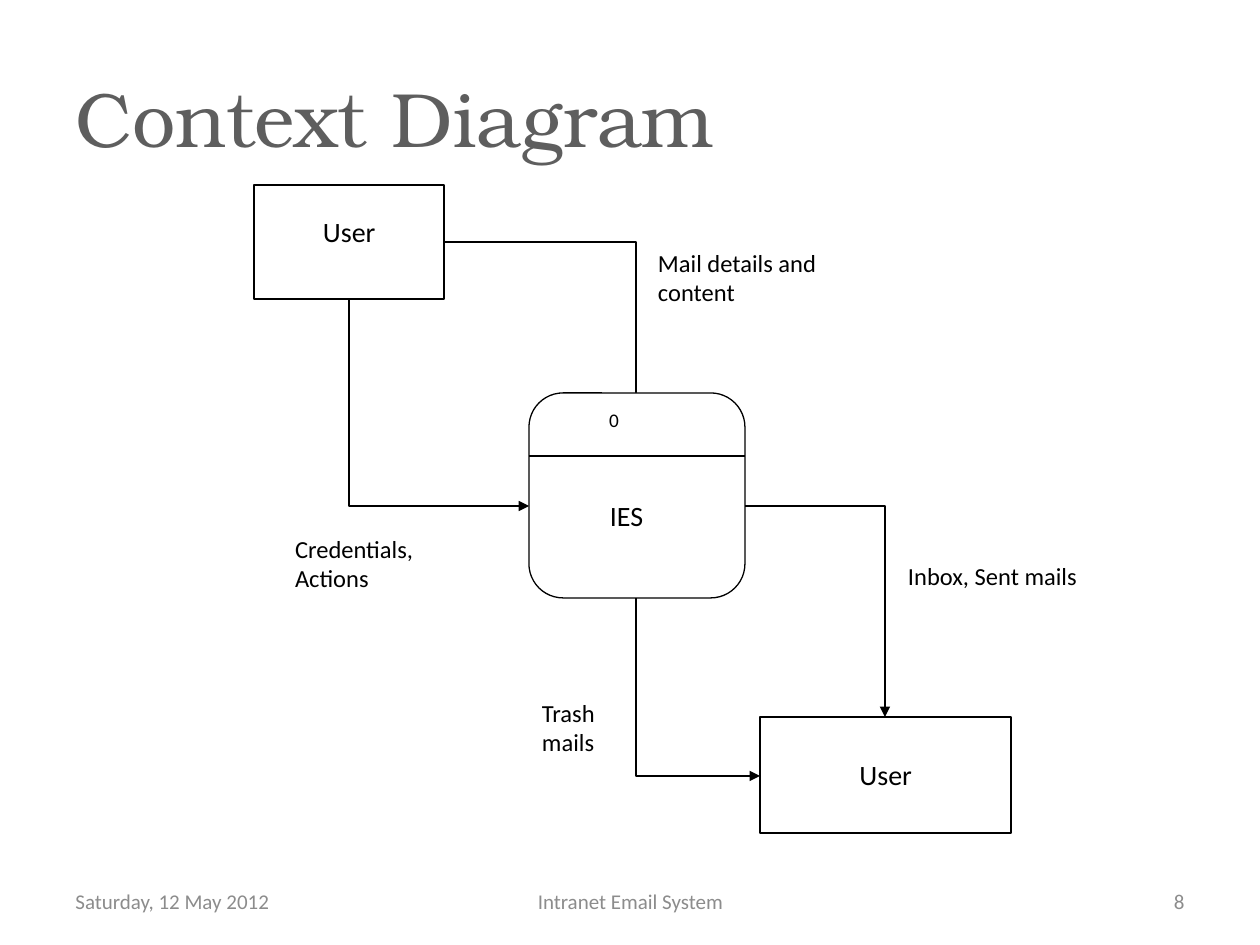
from dataclasses import dataclass

from lxml.etree import SubElement
from pptx import Presentation
from pptx.dml.color import RGBColor
from pptx.enum.shapes import MSO_CONNECTOR as Link, MSO_SHAPE as Shape
from pptx.enum.text import MSO_ANCHOR as Anchor, PP_ALIGN as Align
from pptx.oxml.ns import qn
from pptx.util import Emu, Pt

PIXEL = 914400 // 126


@dataclass(frozen=True)
class Theme:
    """Fonts, colours and type sizes of the slide."""
    title_font: str = "TeX Gyre Bonum"
    body_font: str = "Calibri"
    title_color: RGBColor = RGBColor(0x5E, 0x5E, 0x5E)
    footer_color: RGBColor = RGBColor(0x8C, 0x8C, 0x8C)
    ink: RGBColor = RGBColor(0, 0, 0)
    paper: RGBColor = RGBColor(255, 255, 255)
    title_size: int = 44
    node_size: int = 16
    label_size: int = 14
    footer_size: int = 12
    number_size: int = 11
    line_width: float = 0.75


theme = Theme()


def write(shape, text, size, color, align=Align.LEFT, anchor=Anchor.TOP,
          font=theme.body_font):
    """Put one formatted run into a shape."""
    frame = shape.text_frame
    frame.word_wrap = True
    frame.vertical_anchor = anchor
    para = frame.paragraphs[0]
    para.alignment = align
    span = para.add_run()
    span.text = text
    span.font.name = font
    span.font.size = Pt(size)
    span.font.color.rgb = color


def style_line(connector):
    """Give a connector a thin black line without shadow."""
    connector.line.color.rgb = theme.ink
    connector.line.width = Pt(theme.line_width)
    SubElement(connector._element.spPr, qn("a:effectLst"))


deck = Presentation()
deck.slide_width, deck.slide_height = Emu(9144000), Emu(6858000)
page = deck.slides.add_slide(deck.slide_layouts[5])

title = page.shapes.title
title.left, title.top, title.width, title.height = (
    Emu(n * PIXEL) for n in (63, 38, 1134, 158))
write(title, "Context Diagram", theme.title_size, theme.title_color,
      anchor=Anchor.MIDDLE, font=theme.title_font)

footers = [
    ("Saturday, 12 May 2012", 63, 294, Align.LEFT),
    ("Intranet Email System", 431, 399, Align.CENTER),
    ("8", 903, 294, Align.RIGHT),
]
for text, left, width, align in footers:
    box = page.shapes.add_textbox(
        *(Emu(n * PIXEL) for n in (left, 876, width, 50)))
    write(box, text, theme.footer_size, theme.footer_color, align,
          Anchor.MIDDLE)

# Elbows: start, end, and whether the first leg is vertical
flows = [
    ((445, 242), (636, 414), False),
    ((349, 299), (529, 506), True),
    ((745, 506), (885, 717), False),
    ((636, 598), (760, 776), True),
]
for (x1, y1), (x2, y2), vertical_first in flows:
    wide, high = x2 - x1, y2 - y1
    if vertical_first:
        wide, high = high, wide
    left, top = (x1 + x2 - wide) / 2, (y1 + y2 - high) / 2
    flow = page.shapes.add_connector(
        Link.ELBOW, *(Emu(int(n * PIXEL))
                      for n in (left, top, left + wide, top + high)))
    properties = flow._element.spPr
    properties.find(qn("a:prstGeom")).set("prst", "bentConnector2")
    if vertical_first:
        frame = properties.find(qn("a:xfrm"))
        frame.set("rot", "16200000")
        frame.set("flipH", "1")
    style_line(flow)
    SubElement(flow.line._get_or_add_ln(), qn("a:tailEnd"), type="triangle")

# Boxes: text, bounds, size, outlined, alignment, left and top inset
boxes = [
    ("User", (254, 185, 190, 114), theme.node_size, True, Align.CENTER, 13, 30),
    ("User", (760, 717, 251, 116), theme.node_size, True, Align.CENTER, 13, 41),
    ("Mail details and content", (645, 242, 189, 76), theme.label_size,
     False, Align.LEFT, 13, 6),
    ("Credentials, Actions", (282, 528, 171, 83), theme.label_size,
     False, Align.LEFT, 13, 6),
    ("Inbox, Sent mails", (895, 555, 215, 58), theme.label_size,
     False, Align.LEFT, 13, 6),
    ("Trash mails", (529, 692, 98, 94), theme.label_size,
     False, Align.LEFT, 13, 6),
    ("", (529, 393, 216, 205), theme.node_size, True, Align.LEFT, 13, 6),
    ("0", (566, 402, 130, 45), theme.number_size, False, Align.LEFT, 43, 6),
    ("IES", (547, 469, 174, 108), theme.node_size, False, Align.LEFT, 63, 30),
]
for text, bounds, size, outlined, align, inset_left, inset_top in boxes:
    kind = Shape.RECTANGLE if text else Shape.ROUNDED_RECTANGLE
    box = page.shapes.add_shape(kind, *(Emu(n * PIXEL) for n in bounds))
    box.shadow.inherit = False
    box.fill.solid()
    box.fill.fore_color.rgb = theme.paper
    if outlined:
        box.line.color.rgb = theme.ink
        box.line.width = Pt(theme.line_width)
    else:
        box.line.fill.background()
    if text:
        box.text_frame.margin_left = Emu(inset_left * PIXEL)
        box.text_frame.margin_top = Emu(inset_top * PIXEL)
        write(box, text, size, theme.ink, align)
    else:
        divider = page.shapes.add_connector(
            Link.STRAIGHT, *(Emu(n * PIXEL) for n in (529, 456, 745, 456)))
        style_line(divider)

deck.save("out.pptx")
